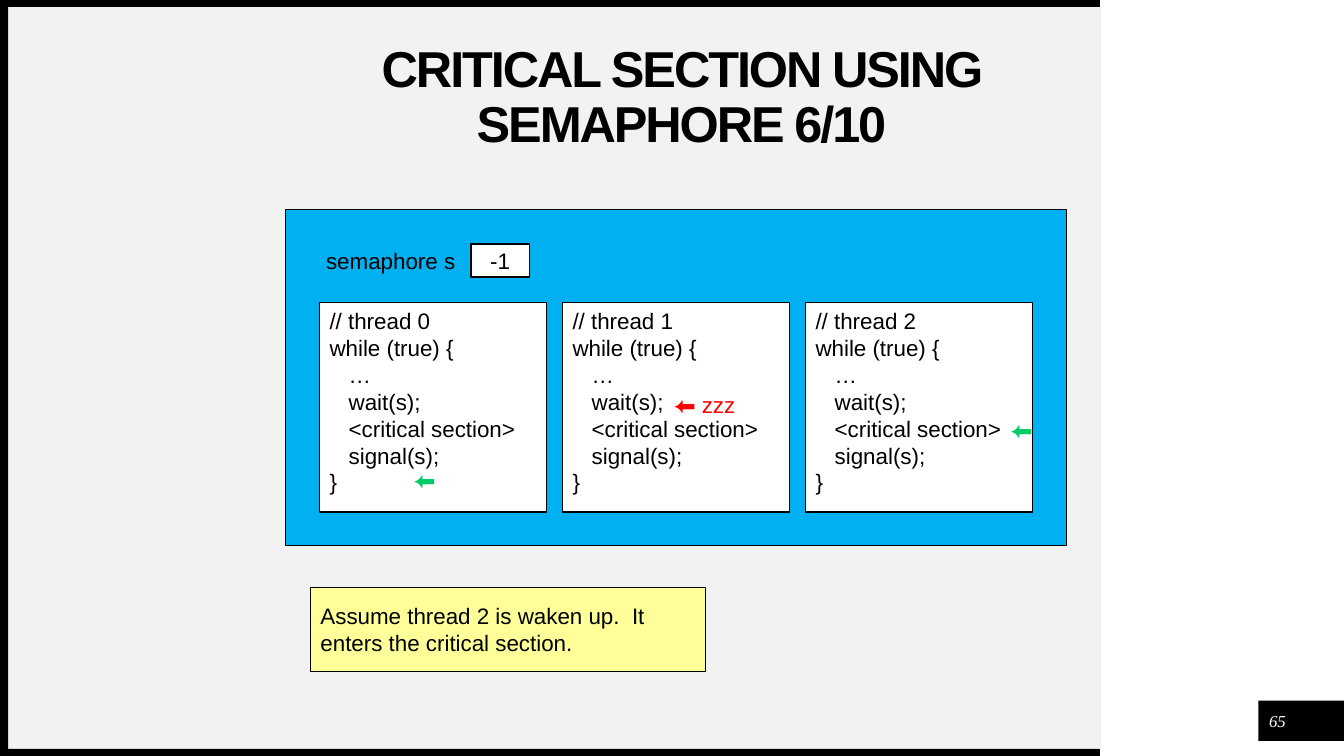
from dataclasses import dataclass

from pptx import Presentation
from pptx import util as u
from pptx.dml import color
from pptx.enum import shapes, text


@dataclass(frozen=True)
class Theme:
    black: str = "000000"
    white: str = "FFFFFF"
    paper: str = "F2F2F2"
    blue: str = "00B0F0"
    yellow: str = "FFFF99"
    green: str = "00CC66"
    red: str = "FF0000"
    sans: str = "Arial"
    serif: str = "Times New Roman"
    title: int = 36
    body: int = 16
    small: int = 12


THEME = Theme()
CODE = [
    ("while (true) {", 0),
    ("…", 1),
    ("wait(s);", 1),
    ("<critical section>", 1),
    ("signal(s);", 1),
    ("}", 0),
]


def rgb(value):
    return color.RGBColor.from_string(value)


def add_rect(parent, place, fill, edge=True):
    rect = parent.add_shape(shapes.MSO_SHAPE.RECTANGLE, *map(u.Inches, place))
    rect.shadow.inherit = False
    rect.fill.solid()
    rect.fill.fore_color.rgb = rgb(fill)
    if edge:
        rect.line.color.rgb = rgb(THEME.black)
        rect.line.width = u.Pt(1)
    else:
        rect.line.fill.background()
    return rect


def set_frame(shape, middle=True, wrap=False, inset=True):
    frame = shape.text_frame
    frame.word_wrap = wrap
    anchor = text.MSO_ANCHOR
    frame.vertical_anchor = anchor.MIDDLE if middle else anchor.TOP
    if not inset:
        frame.margin_left = frame.margin_right = 0
        frame.margin_top = frame.margin_bottom = 0
    return frame


def add_run(para, words, tint=THEME.black, size=THEME.body, face=THEME.sans, center=False):
    para.alignment = text.PP_ALIGN.CENTER if center else text.PP_ALIGN.LEFT
    run = para.add_run()
    run.text = words
    run.font.name = face
    run.font.size = u.Pt(size)
    run.font.color.rgb = rgb(tint)
    return run


def add_label(parent, place, words, middle=False, wrap=False, inset=True, **style):
    label = parent.add_textbox(*map(u.Inches, place))
    para = set_frame(label, middle, wrap, inset).paragraphs[0]
    return para, add_run(para, words, **style)


def add_thread(parent, index):
    rect = add_rect(parent, (3.17 + index * 2.41, 3, 2.25, 2.08), THEME.white)
    frame = set_frame(rect, middle=False)
    lines = [(f"// thread {index}", 0)] + CODE
    for row, (words, depth) in enumerate(lines):
        para = frame.add_paragraph() if row else frame.paragraphs[0]
        if depth:
            props = para._p.get_or_add_pPr()
            props.set("marL", str(u.Inches(0.19 * depth)))
            props.set("indent", "0")
        add_run(para, words)


def add_panel(parent):
    group = parent.add_group_shape().shapes
    add_rect(group, (2.83, 2.08, 7.75, 3.33), THEME.blue)
    value = add_rect(group, (4.67, 2.42, 0.58, 0.33), THEME.white)
    add_run(set_frame(value).paragraphs[0], "-1", center=True)
    add_label(
        group, (3.13, 2.42, 1.49, 0.33), "semaphore s",
        middle=True, inset=False, center=True,
    )
    for index in range(3):
        add_thread(group, index)


def add_base(parent):
    add_rect(parent, (0.08, 0.07, 10.84, 7.36), THEME.paper, edge=False)
    for place in [
        (12.48, 6.95, 0.86, 0.4),
        (0, 7.43, 10.91, 0.07),
        (0, 0, 10.91, 0.07),
        (0, 0.03, 0.08, 7.47),
    ]:
        add_rect(parent, place, THEME.black, edge=False)


def add_title(parent):
    para, run = add_label(
        parent, (2.5, 0.5, 8.52, 0.96), "CRITICAL SECTION USING SEMAPHORE 6/10",
        middle=True, wrap=True, inset=False, size=THEME.title, center=True,
    )
    para.line_spacing = 0.9
    run.font.bold = True
    run._r.get_or_add_rPr().set("spc", "-150")


def add_note(parent):
    note = add_rect(parent, (3.08, 5.83, 3.92, 0.83), THEME.yellow)
    para = set_frame(note, wrap=True).paragraphs[0]
    add_run(para, "Assume thread 2 is waken up.  It enters the critical section.")


def add_number(parent):
    _, run = add_label(
        parent, (12.52, 7, 0.3, 0.3), "65", middle=True, wrap=True, inset=False,
        tint=THEME.white, size=THEME.small, face=THEME.serif, center=True,
    )
    run.font.italic = True


def main():
    deck = Presentation()
    deck.slide_width = u.Inches(13.33)
    deck.slide_height = u.Inches(7.5)
    parts = deck.slides.add_slide(deck.slide_layouts[6]).shapes
    add_base(parts)
    add_panel(parts)
    add_label(parts, (4, 4.58, 0.33, 0.33), "⬅", tint=THEME.green)
    add_note(parts)
    add_label(parts, (6.58, 3.83, 0.83, 0.33), "⬅ zzz", tint=THEME.red)
    add_label(parts, (9.92, 4.08, 0.33, 0.33), "⬅", tint=THEME.green)
    add_title(parts)
    add_number(parts)
    deck.save("out.pptx")


if __name__ == "__main__":
    main()
